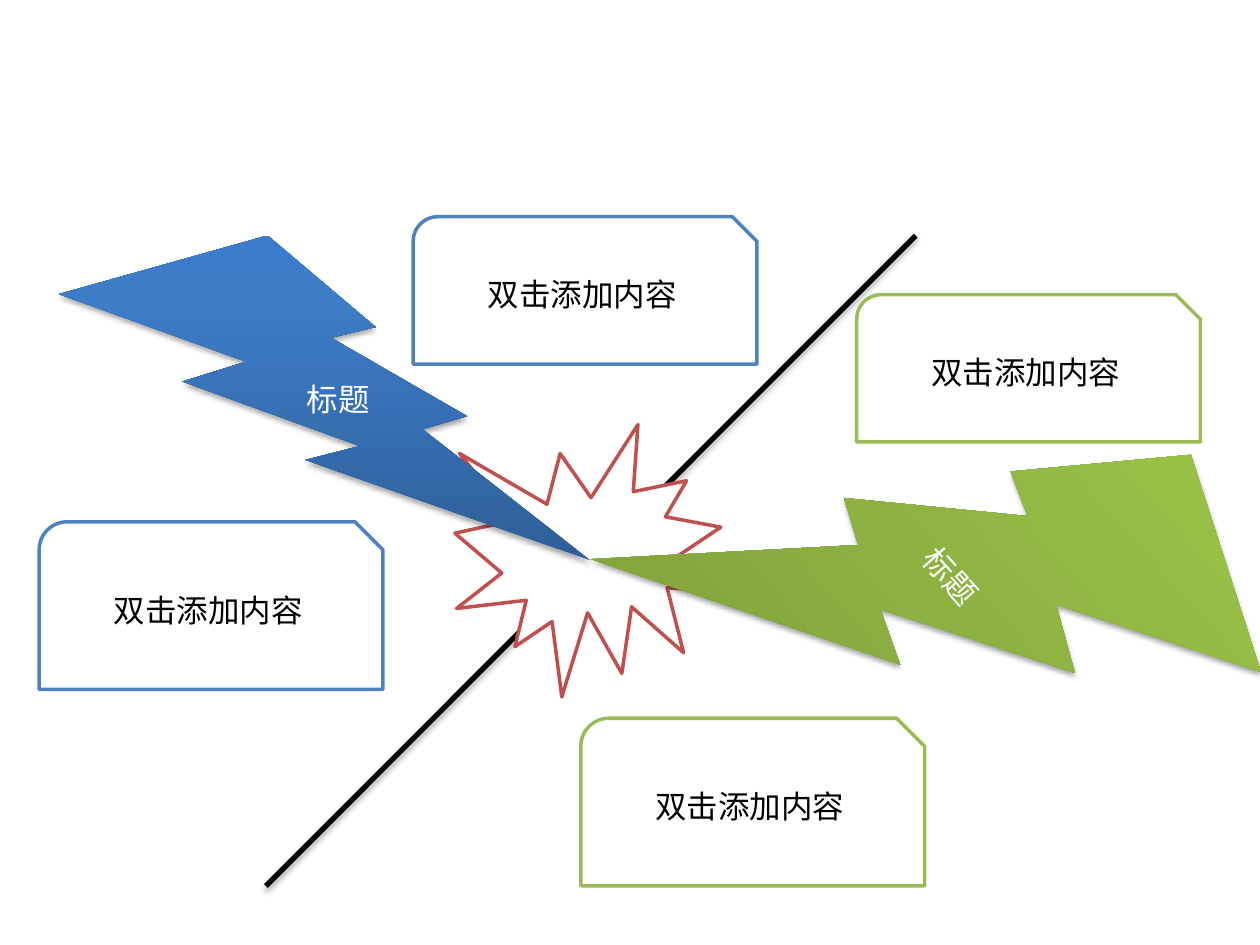
from copy import deepcopy
from typing import NamedTuple

from lxml.etree import SubElement
from pptx import Presentation
from pptx.dml.color import RGBColor
from pptx.enum.shapes import MSO_CONNECTOR, MSO_SHAPE
from pptx.enum.text import MSO_ANCHOR, PP_ALIGN
from pptx.oxml.ns import qn
from pptx.util import Cm, Pt

BLACK = RGBColor(0x00, 0x00, 0x00)
WHITE = RGBColor(0xFF, 0xFF, 0xFF)
RED = RGBColor(0xC0, 0x50, 0x4D)
BLUE = RGBColor(0x4F, 0x81, 0xBD)
GREEN = RGBColor(0x9B, 0xBB, 0x59)
BLUES = (RGBColor(0x2F, 0x5F, 0x99), RGBColor(0x3D, 0x7C, 0xC7), RGBColor(0x3A, 0x7C, 0xCB))
GREENS = (RGBColor(0x77, 0x97, 0x37), RGBColor(0x9B, 0xC3, 0x48), RGBColor(0x9D, 0xC7, 0x46))
STOPS = (0, 0.8, 1)
FONT = {"name": "Calibri", "size": Pt(18)}
CARD_W = 6.93


class Card(NamedTuple):
    left: float
    top: float
    height: float
    color: RGBColor


class Bolt(NamedTuple):
    left: float
    top: float
    width: float
    height: float
    colors: tuple
    turn: float = 0
    flip: bool = False


CARDS = (
    Card(0.79, 10.52, 3.38, BLUE),
    Card(11.71, 14.48, 3.38, GREEN),
    Card(8.33, 4.37, 2.97, BLUE),
    Card(17.27, 5.94, 2.97, GREEN),
)
BOLTS = (
    Bolt(1.19, 4.75, 10.72, 6.55, BLUES),
    Bolt(14, 6.58, 10.72, 10.41, GREENS, 228.1, True),
)


def add_shape(slide, kind, left: float, top: float, width: float, height: float):
    shape = slide.shapes.add_shape(kind, Cm(left), Cm(top), Cm(width), Cm(height))
    shape.shadow.inherit = False
    return shape


def outline(shape, color: RGBColor) -> None:
    shape.fill.solid()
    shape.fill.fore_color.rgb = WHITE
    shape.line.color.rgb = color
    shape.line.width = Pt(2)


def write(shape, text: str, color: RGBColor) -> None:
    frame = shape.text_frame
    frame.vertical_anchor = MSO_ANCHOR.MIDDLE
    para = frame.paragraphs[0]
    para.alignment = PP_ALIGN.CENTER
    run = para.add_run()
    run.text = text
    for key, value in FONT.items():
        setattr(run.font, key, value)
    run.font.color.rgb = color


def add_shadow(shape) -> None:
    props = shape._element.spPr
    effects = props.find(qn("a:effectLst"))
    if effects is None:
        effects = SubElement(props, qn("a:effectLst"))
    shade = SubElement(effects, qn("a:outerShdw"), blurRad=str(Pt(3.1)),
                       dist=str(Pt(1.8)), dir="5400000", rotWithShape="0")
    tint = SubElement(shade, qn("a:srgbClr"), val=str(BLACK))
    SubElement(tint, qn("a:alpha"), val="35000")


def add_card(slide, card: Card) -> None:
    shape = add_shape(slide, MSO_SHAPE.SNIP_ROUND_RECTANGLE,
                      card.left, card.top, CARD_W, card.height)
    outline(shape, card.color)
    write(shape, "双击添加内容", BLACK)


def add_bolt(slide, bolt: Bolt) -> None:
    shape = add_shape(slide, MSO_SHAPE.LIGHTNING_BOLT,
                      bolt.left, bolt.top, bolt.width, bolt.height)
    shape.rotation = bolt.turn
    if bolt.flip:
        shape._element.spPr.find(qn("a:xfrm")).set("flipV", "1")
    # A new gradient has two stops; a third is needed
    shape.fill.gradient()
    shape.fill.gradient_angle = 90
    stops = shape._element.spPr.find(".//" + qn("a:gsLst"))
    stops.append(deepcopy(stops[-1]))
    for stop, place, color in zip(shape.fill.gradient_stops, STOPS, bolt.colors):
        stop.position = place
        stop.color.rgb = color
    shape.line.fill.background()
    add_shadow(shape)
    write(shape, "标题", WHITE)


def main() -> None:
    deck = Presentation()
    deck.slide_width, deck.slide_height = Cm(25.4), Cm(19.05)
    slide = deck.slides.add_slide(deck.slide_layouts[6])

    # Dividing line
    line = slide.shapes.add_connector(
        MSO_CONNECTOR.STRAIGHT, Cm(18.46), Cm(4.75), Cm(5.36), Cm(17.86))
    line.line.color.rgb = BLACK
    line.line.width = Pt(3)
    add_shadow(line)

    # Clash in the middle
    burst = add_shape(slide, MSO_SHAPE.EXPLOSION1, 9.17, 8.56, 5.49, 5.49)
    outline(burst, RED)

    # Opposing sides and their notes
    for bolt in BOLTS:
        add_bolt(slide, bolt)
    for card in CARDS:
        add_card(slide, card)

    deck.save("out.pptx")


if __name__ == "__main__":
    main()
